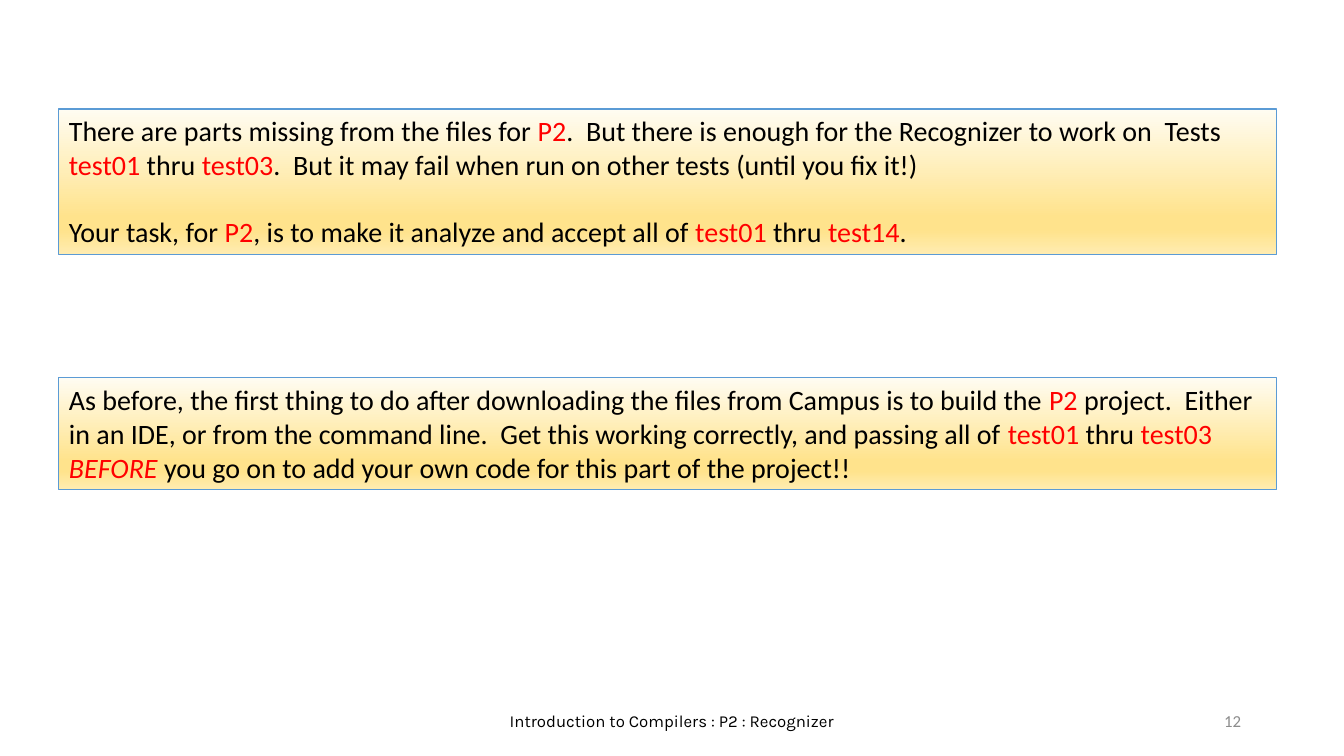
from lxml import etree
from pptx import Presentation
from pptx import util as u
from pptx.dml.color import RGBColor
from pptx.enum import shapes, text
from pptx.oxml import ns

SCALE = 914400 / 100.8
BLACK = RGBColor(0x00, 0x00, 0x00)
RED = RGBColor(0xFF, 0x00, 0x00)
GRAY = RGBColor(0x8C, 0x8C, 0x8C)
BLUE = RGBColor(0x5B, 0x9B, 0xD5)
CREAM = RGBColor(0xFF, 0xFC, 0xF2)
GOLD = RGBColor(0xFF, 0xE3, 0x8C)
SAND = RGBColor(0xFF, 0xEC, 0xB2)
STOPS = [(0, CREAM), (74, GOLD), (83, GOLD), (100, SAND)]
LEFT, WIDTH = 59, 1218

TASK = [
    "There are parts missing from the files for |P2|.  But there is enough "
    "for the Recognizer to work on  Tests |test01| thru |test03|.  But it may "
    "fail when run on other tests (until you fix it!)",
    "Your task, for |P2|, is to make it analyze and accept all of "
    "|test01| thru |test14|.",
]
ADVICE = [
    "As before, the first thing to do after downloading the files from Campus "
    "is to build the |P2| project.  Either in an IDE, or from the command "
    "line.  Get this working correctly, and passing all of |test01| thru "
    "|test03| |BEFORE| you go on to add your own code for this part of "
    "the project!!",
]


def px(count):
    return u.Emu(round(count * SCALE))


def style(font, name, size, color):
    font.name = name
    font.size = u.Pt(size)
    font.color.rgb = color


def shade(fill):
    fill.gradient()
    fill.gradient_angle = 270
    grad = fill._xPr.find(ns.qn("a:gradFill"))
    stops = grad.find(ns.qn("a:gsLst"))
    for stop in list(stops):
        stops.remove(stop)
    for place, color in STOPS:
        stop = etree.SubElement(stops, ns.qn("a:gs"), pos=str(place * 1000))
        etree.SubElement(stop, ns.qn("a:srgbClr"), val=str(color))


def write(para, line):
    para.alignment = text.PP_ALIGN.LEFT
    for index, piece in enumerate(line.split("|")):
        run = para.add_run()
        run.text = piece
        style(run.font, "Calibri", 20, RED if index % 2 else BLACK)
        run.font.italic = piece == "BEFORE"


def panel(slide, top, height, lines):
    box = slide.shapes.add_shape(
        shapes.MSO_SHAPE.RECTANGLE, px(LEFT), px(top), px(WIDTH), px(height))
    box.shadow.inherit = False
    shade(box.fill)
    box.line.color.rgb = BLUE
    box.line.width = u.Pt(0.75)
    frame = box.text_frame
    frame.word_wrap = True
    frame.auto_size = text.MSO_AUTO_SIZE.SHAPE_TO_FIT_TEXT
    frame.vertical_anchor = text.MSO_ANCHOR.TOP
    for index, line in enumerate(lines):
        para = frame.add_paragraph() if index else frame.paragraphs[0]
        if index:
            para.space_before = u.Pt(24)
        write(para, line)


def footer(slide, left, width, words, align, name, color):
    box = slide.shapes.add_textbox(px(left), px(701), px(width), px(40))
    frame = box.text_frame
    frame.word_wrap = True
    frame.vertical_anchor = text.MSO_ANCHOR.MIDDLE
    frame.text = words
    para = frame.paragraphs[0]
    para.alignment = align
    style(para.runs[0].font, name, 12, color)


def main():
    deck = Presentation()
    deck.slide_width, deck.slide_height = px(1344), px(756)
    slide = deck.slides.add_slide(deck.slide_layouts[6])
    footer(slide, 445, 454, "Introduction to Compilers : P2 : Recognizer",
           text.PP_ALIGN.CENTER, "Karla", BLACK)
    footer(slide, 949, 302, "12", text.PP_ALIGN.RIGHT, "Calibri", GRAY)
    panel(slide, 109, 146, TASK)
    panel(slide, 378, 112, ADVICE)
    deck.save("out.pptx")


if __name__ == "__main__":
    main()
